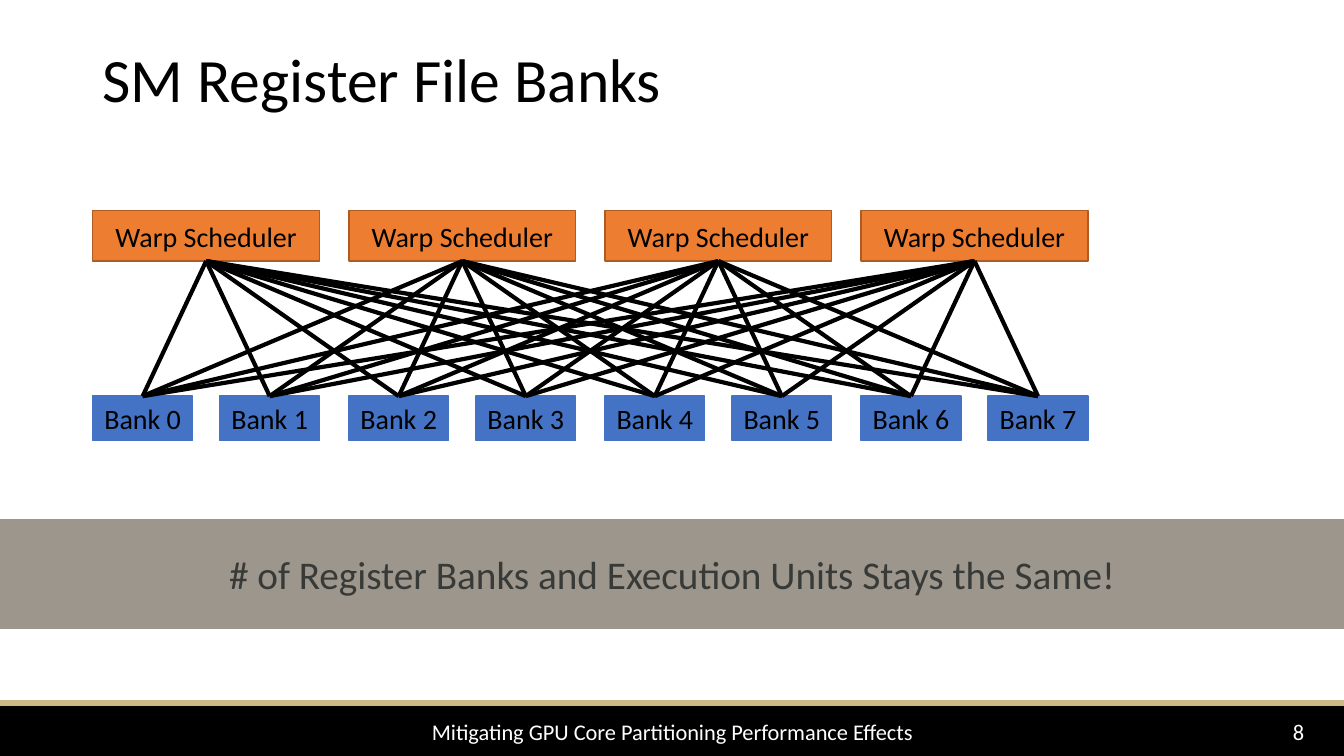
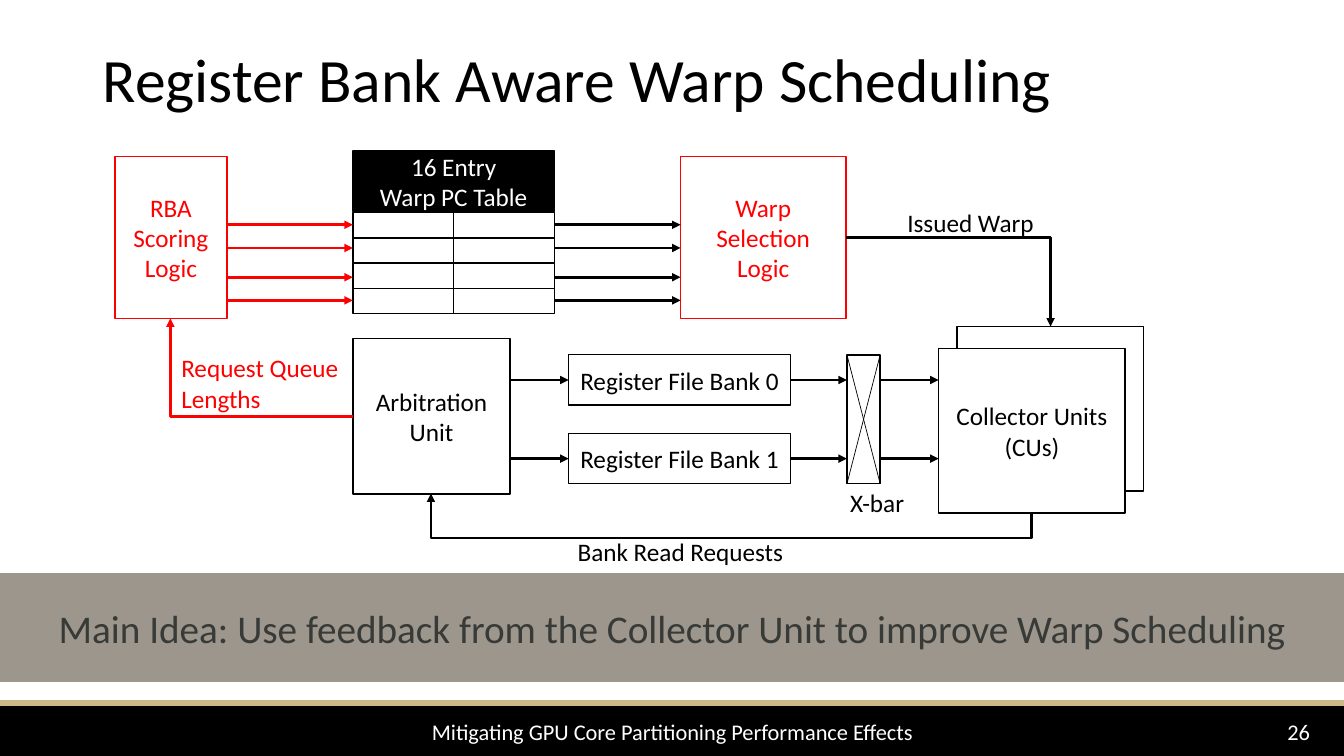
from lxml import etree
from pptx import Presentation
from pptx import util as u
from pptx.dml.color import RGBColor
from pptx.enum import shapes, text
from pptx.oxml.ns import qn

BLACK, WHITE, RED = "000000", "FFFFFF", "FF0000"
GOLD, GRAY, DARK_GRAY = "CEB888", "9D968D", "373A36"
ORANGE, RUST, BLUE = "ED7D31", "AF5C24", "4472C4"
CENTER, LEFT = text.PP_ALIGN.CENTER, text.PP_ALIGN.LEFT
MIDDLE, TOP = text.MSO_ANCHOR.MIDDLE, text.MSO_ANCHOR.TOP
STRAIGHT, ELBOW = shapes.MSO_CONNECTOR.STRAIGHT, shapes.MSO_CONNECTOR.ELBOW


def add_box(slide, place, words="", fill=None, outline=None, color=BLACK,
            size=18, align=CENTER, anchor=MIDDLE):
    place = [u.Inches(value) for value in place]
    if fill:
        box = slide.shapes.add_shape(shapes.MSO_SHAPE.RECTANGLE, *place)
        box.shadow.inherit = False
        box.fill.solid()
        box.fill.fore_color.rgb = RGBColor.from_string(fill)
        box.line.color.rgb = RGBColor.from_string(outline or fill)
        box.line.width = u.Pt(1)
    else:
        box = slide.shapes.add_textbox(*place)
    frame = box.text_frame
    frame.word_wrap = True
    frame.vertical_anchor = anchor
    frame.text = words
    for para in frame.paragraphs:
        para.alignment = align
        for span in para.runs:
            span.font.name = "Calibri"
            span.font.size = u.Pt(size)
            span.font.color.rgb = RGBColor.from_string(color)
    return box


def add_line(slide, start, end, color=BLACK, width=2, arrow=True, kind=STRAIGHT):
    ends = [u.Inches(value) for value in (*start, *end)]
    line = slide.shapes.add_connector(kind, *ends)
    line.line.color.rgb = RGBColor.from_string(color)
    line.line.width = u.Pt(width)
    if arrow:
        etree.SubElement(line.line._get_or_add_ln(), qn("a:tailEnd"), type="triangle")
    etree.SubElement(line._element.spPr, qn("a:effectLst"))
    return line


deck = Presentation()
deck.slide_width, deck.slide_height = u.Inches(13.33), u.Inches(7.5)

pages = []
for title, number, message, message_top in (
    ("SM Register File Banks", "8",
     "# of Register Banks and Execution Units Stays the Same!", 5.16),
    ("Register Bank Aware Warp Scheduling", "26",
     "Main Idea: Use feedback from the Collector Unit to improve Warp Scheduling", 5.69),
):
    page = deck.slides.add_slide(deck.slide_layouts[6])
    add_box(page, (0, 6.95, 13.33, 0.55), fill=BLACK)
    add_box(page, (0, 6.95, 13.33, 0.05), fill=GOLD)
    add_box(page, (0.92, 7.01, 11.5, 0.49),
            "Mitigating GPU Core Partitioning Performance Effects", color=WHITE, size=16)
    add_box(page, (12.42, 7.01, 0.92, 0.49), number, color=WHITE, size=16)
    heading = add_box(page, (0.92, 0.25, 11.5, 1.14), title, size=44, align=LEFT)
    heading.text_frame.paragraphs[0].line_spacing = 0.9
    add_box(page, (0, message_top, 13.33, 1.07), message, GRAY, color=DARK_GRAY, size=28)
    pages.append(page)

banks_page, scheduling_page = pages

group_lefts = [0.92 + 2.54 * group for group in range(4)]
schedulers = [add_box(banks_page, (left, 2.09, 2.25, 0.5), "Warp Scheduler",
                      ORANGE, RUST, size=20) for left in group_lefts]
banks = [add_box(banks_page, (group_lefts[index // 2] + 1.26 * (index % 2), 3.93, 0.99, 0.44),
                 f"Bank {index}", BLUE, size=20) for index in range(8)]
for scheduler in schedulers:
    for bank in banks:
        link = add_line(banks_page, (0, 0), (1, 1), width=3, arrow=False)
        link.begin_connect(scheduler, 2)
        link.end_connect(bank, 0)

page = scheduling_page
add_box(page, (3.5, 1.5, 2, 0.6), "16 Entry\nWarp PC Table", BLACK, color=WHITE)
for row in range(4):
    for column in range(2):
        add_box(page, (3.5 + column, 2.11 + 0.25 * row, 1, 0.25), fill=WHITE, outline=BLACK)

for place, words, color in (
    ((1.14, 1.55, 1.11, 1.61), "RBA Scoring\nLogic", RED),
    ((6.75, 1.55, 1.64, 1.61), "Warp Selection Logic", RED),
    ((3.5, 3.36, 1.56, 1.54), "Arbitration Unit", BLACK),
    ((9.49, 3.24, 1.85, 1.63), "", BLACK),
    ((9.31, 3.46, 1.85, 1.63), "Collector Units\n(CUs)", BLACK),
    ((8.4, 3.52, 0.33, 1.28), "", BLACK),
):
    add_box(page, place, words, WHITE, color, color)

for left, color in ((2.25, RED), (5.5, BLACK)):
    for y in (2.23, 2.46, 2.75, 2.98):
        add_line(page, (left, y), (left + 1.25, y), color)

add_line(page, (8.4, 3.52), (8.73, 4.8), width=0.5, arrow=False)
add_line(page, (8.73, 3.52), (8.4, 4.8), width=0.5, arrow=False)

for index in range(2):
    top = 3.52 + 0.78 * index
    y = top + 0.25
    bank = add_box(page, (5.64, top, 2.2, 0.5), f"Register File Bank {index}", WHITE, BLACK)
    add_line(page, (5.06, y), (5.64, y)).end_connect(bank, 1)
    add_line(page, (7.84, y), (8.4, y)).begin_connect(bank, 3)
    add_line(page, (8.73, y), (9.31, y))

for start, end, color in (
    ((8.39, 2.36), (10.42, 3.24), BLACK),
    ((3.5, 4.13), (1.69, 3.16), RED),
):
    corner = add_line(page, start, end, color, kind=ELBOW)
    corner._element.spPr.find(qn("a:prstGeom")).set("prst", "bentConnector2")

feedback = add_line(page, (7.35, 2.01), (7.16, 7.97), kind=ELBOW)
feedback._element.spPr.find(qn("a:xfrm")).set("rot", "5400000")
adjustments = feedback._element.spPr.find(qn("a:prstGeom")).get_or_add_avLst()
etree.SubElement(adjustments, qn("a:gd"), name="adj1", fmla="val -132900")

for place, words, color, align in (
    ((8.28, 4.79, 0.84, 0.4), "X-bar", BLACK, CENTER),
    ((5.63, 5.27, 2.68, 0.4), "Bank Read Requests", BLACK, LEFT),
    ((8.9, 2.01, 2.68, 0.4), "Issued Warp", BLACK, LEFT),
    ((1.7, 3.45, 2.44, 0.71), "Request Queue Lengths", RED, LEFT),
):
    add_box(page, place, words, color=color, align=align, anchor=TOP)

deck.save("out.pptx")
